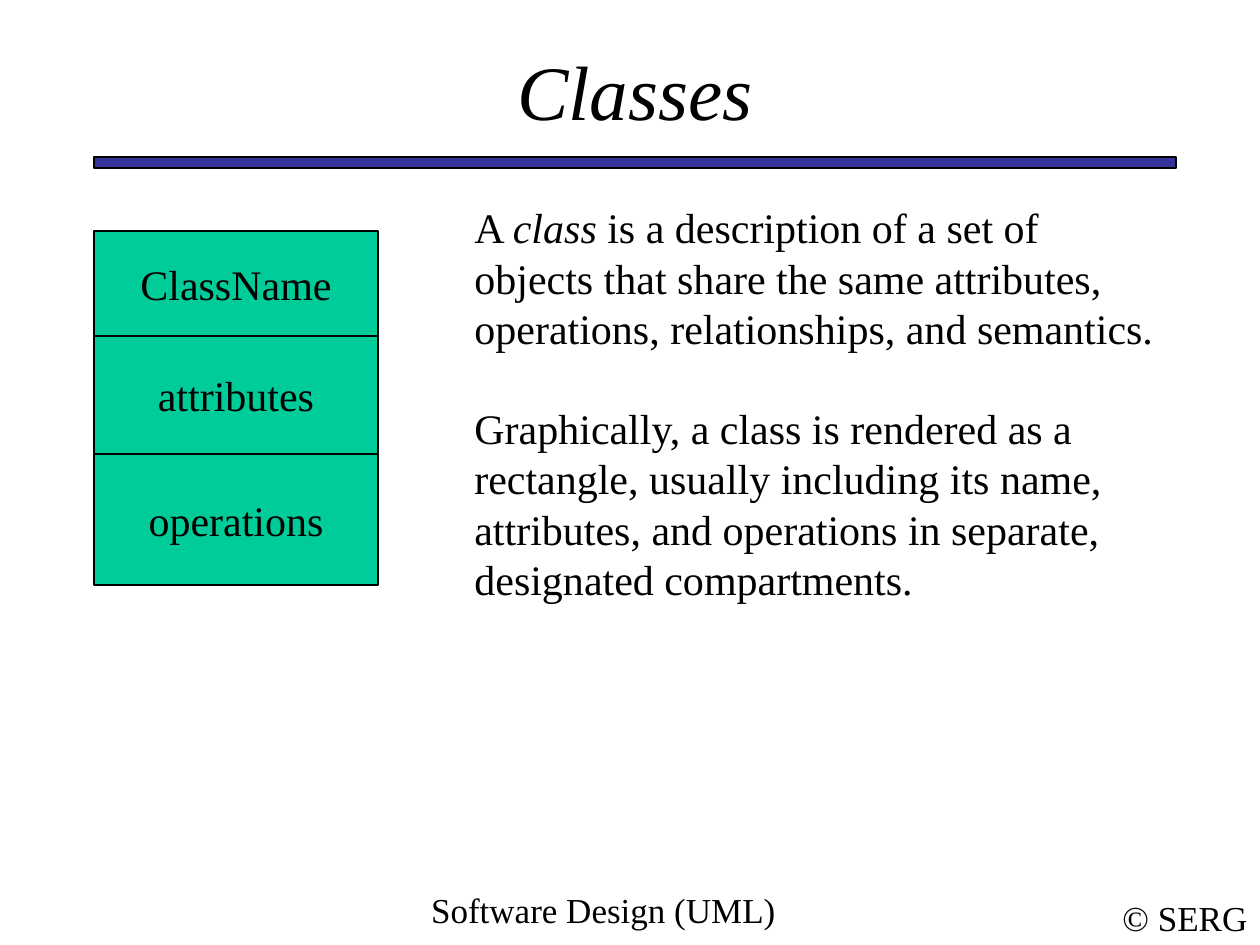
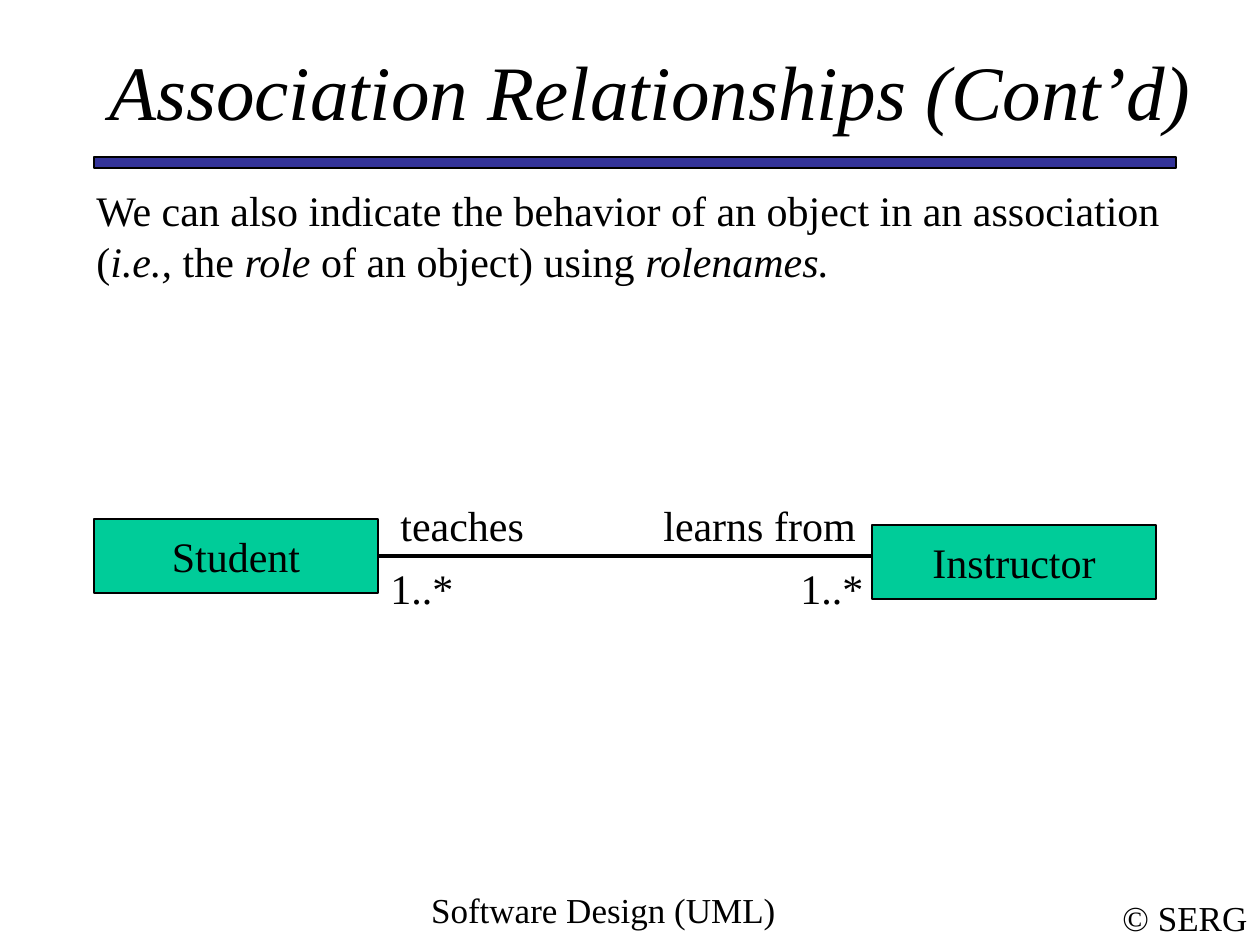
from itertools import accumulate

from pptx import Presentation
from pptx.dml.color import RGBColor
from pptx.enum.shapes import MSO_CONNECTOR, MSO_SHAPE
from pptx.enum.text import MSO_ANCHOR, MSO_AUTO_SIZE, PP_ALIGN
from pptx.oxml.ns import qn
from pptx.util import Emu, Pt
from lxml.etree import SubElement

EMU_PER_INCH = 914400
PX_PER_INCH = 126
FONT = "Times New Roman"
COLORS = {"text": "000000", "line": "000000", "rule": "333399", "class": "00CC99"}
TITLE_SIZE, BODY_SIZE, FOOTER_SIZE = 44, 24, 20
BODY_LINE = Pt(28.7)
LEFT = 94
CLASS_WIDTH = 284


def px(length):
    return Emu(round(length * EMU_PER_INCH / PX_PER_INCH))


def color(name):
    return RGBColor.from_string(COLORS[name])


def add_run(paragraph, text, size, italic=False):
    run = paragraph.add_run()
    run.text = text
    run.font.name = FONT
    run.font.size = Pt(size)
    run.font.italic = italic
    run.font.color.rgb = color("text")


def add_text(slide, box, paragraphs, size=BODY_SIZE, align=PP_ALIGN.LEFT,
             line_spacing=BODY_LINE, anchor=MSO_ANCHOR.TOP, wrap=True):
    """Each paragraph is a list of (text, italic) runs."""
    frame = slide.shapes.add_textbox(*map(px, box)).text_frame
    frame.word_wrap = wrap
    frame.vertical_anchor = anchor
    for index, runs in enumerate(paragraphs):
        paragraph = frame.add_paragraph() if index else frame.paragraphs[0]
        paragraph.alignment = align
        paragraph.line_spacing = line_spacing
        for text, italic in runs:
            add_run(paragraph, text, size, italic)
    return frame


def add_box(shapes, box, fill, label=None):
    shape = shapes.add_shape(MSO_SHAPE.RECTANGLE, *map(px, box))
    shape.shadow.inherit = False
    shape.fill.solid()
    shape.fill.fore_color.rgb = color(fill)
    shape.line.color.rgb = color("line")
    shape.line.width = Pt(0.75)
    if label:
        frame = shape.text_frame
        frame.word_wrap = False
        frame.vertical_anchor = MSO_ANCHOR.MIDDLE
        frame.paragraphs[0].alignment = PP_ALIGN.CENTER
        add_run(frame.paragraphs[0], label, BODY_SIZE)
    return shape


def add_base_slide(presentation, title_text, title_box):
    """Title, rule and footers shared by all slides."""
    slide = presentation.slides.add_slide(presentation.slide_layouts[5])
    title = slide.shapes.title
    title.left, title.top, title.width, title.height = map(px, title_box)
    frame = title.text_frame
    frame.auto_size = MSO_AUTO_SIZE.NONE
    frame.vertical_anchor = MSO_ANCHOR.MIDDLE
    frame.paragraphs[0].alignment = PP_ALIGN.CENTER
    add_run(frame.paragraphs[0], title_text, TITLE_SIZE, italic=True)

    add_box(slide.shapes, (LEFT, 157, 1082, 11), "rule")
    footer = {"size": FOOTER_SIZE, "align": PP_ALIGN.CENTER, "line_spacing": None}
    add_text(slide, (325, 882, 557, 63), [[("Software Design (UML)", False)]], **footer)
    add_text(slide, (1110, 890, 150, 55), [[("© SERG", False)]],
             anchor=MSO_ANCHOR.MIDDLE, wrap=False, **footer)
    return slide


def add_class_diagram(slide, left, top, width, compartments):
    """Stacked compartments, given as (label, height)."""
    group = slide.shapes.add_group_shape()
    offsets = accumulate((height for _, height in compartments), initial=0)
    for (label, height), offset in zip(compartments, offsets):
        add_box(group.shapes, (left, top + offset, width, height), "class", label)


def add_association(slide, left, top):
    """Two classes joined by a line, with role names and multiplicities."""
    height = 74
    middle = top + height // 2
    line_start = left + CLASS_WIDTH
    student = add_box(slide.shapes, (left, top, CLASS_WIDTH, height), "class", "Student")
    line = slide.shapes.add_connector(
        MSO_CONNECTOR.STRAIGHT, px(line_start), px(middle), px(left + 788), px(middle))
    line.begin_connect(student, 3)
    line.line.color.rgb = color("line")
    line.line.width = Pt(2.25)
    SubElement(line._element.spPr, qn("a:effectLst"))
    add_box(slide.shapes, (left + 778, top + 6, CLASS_WIDTH, height), "class", "Instructor")

    # Role names above the line, multiplicities below
    for label, offset, width, label_top in (
            ("teaches", 10, 158, middle - 62), ("learns from", 273, 221, middle - 62),
            ("1..*", 0, 95, middle + 1), ("1..*", 410, 95, middle + 1)):
        add_text(slide, (line_start + offset, label_top, width, 63), [[(label, False)]])


def build_classes_slide(presentation):
    slide = add_base_slide(presentation, "Classes", (LEFT, 53, 1082, 73))
    add_class_diagram(slide, LEFT, 231, CLASS_WIDTH,
                      [("ClassName", 105), ("attributes", 118), ("operations", 131)])
    definition = [
        [("A ", False), ("class", True), (" is a description of a set of", False)],
        [("objects that share the same attributes,", False)],
        [("operations, relationships, and semantics.", False)],
    ]
    notation = [
        [("Graphically, a class is rendered as a", False)],
        [("rectangle, usually including its name,", False)],
        [("attributes, and operations in separate,", False)],
        [("designated compartments.", False)],
    ]
    frame = add_text(slide, (462, 196, 765, 416), definition + notation)
    frame.paragraphs[len(definition)].space_before = BODY_LINE


def build_association_slide(presentation):
    slide = add_base_slide(presentation, "Association Relationships (Cont’d)",
                           (84, 53, 1134, 73))
    add_text(slide, (84, 179, 1118, 113), [[
        ("We can also indicate the behavior of an object in an association (", False),
        ("i.e.,", True), (" the ", False), ("role ", True),
        ("of an object) using ", False), ("rolenames.", True),
    ]])
    add_association(slide, LEFT, 519)


def main():
    presentation = Presentation()
    presentation.slide_width, presentation.slide_height = px(1260), px(945)
    build_classes_slide(presentation)
    build_association_slide(presentation)
    presentation.save("out.pptx")


if __name__ == "__main__":
    main()
